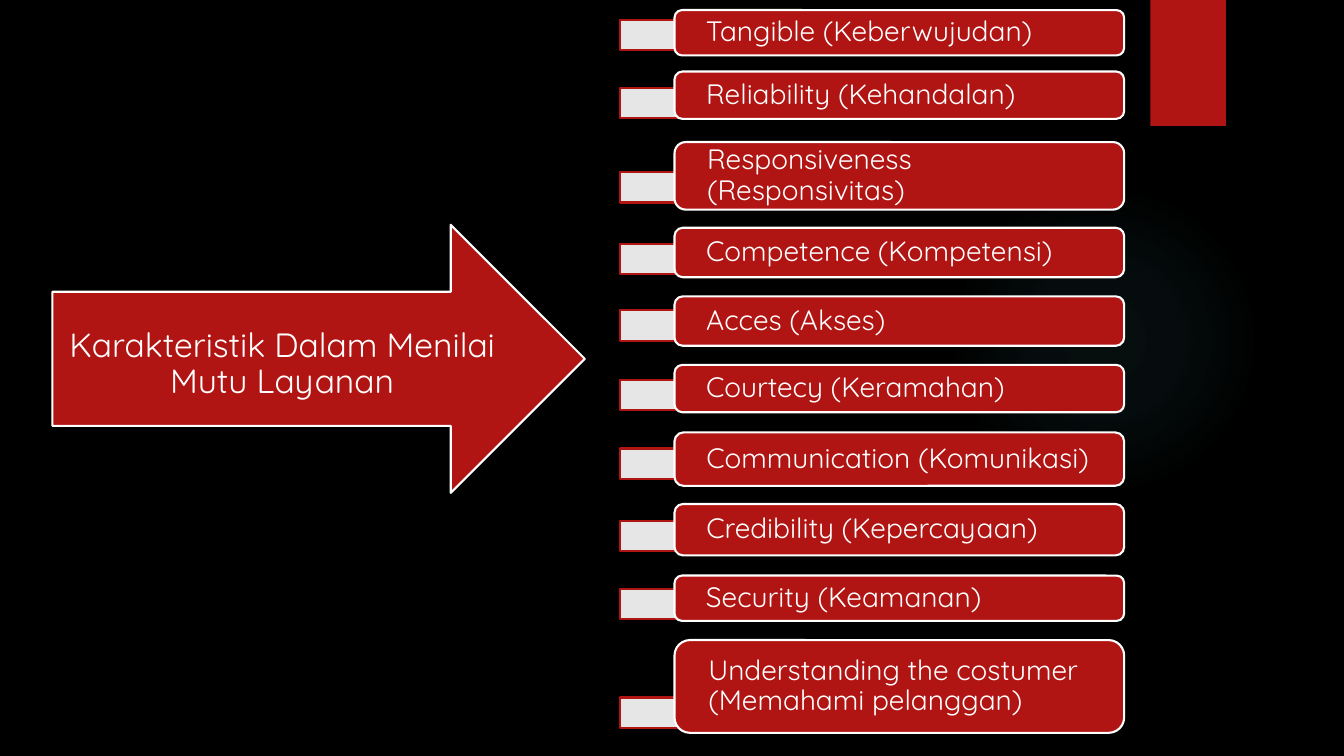
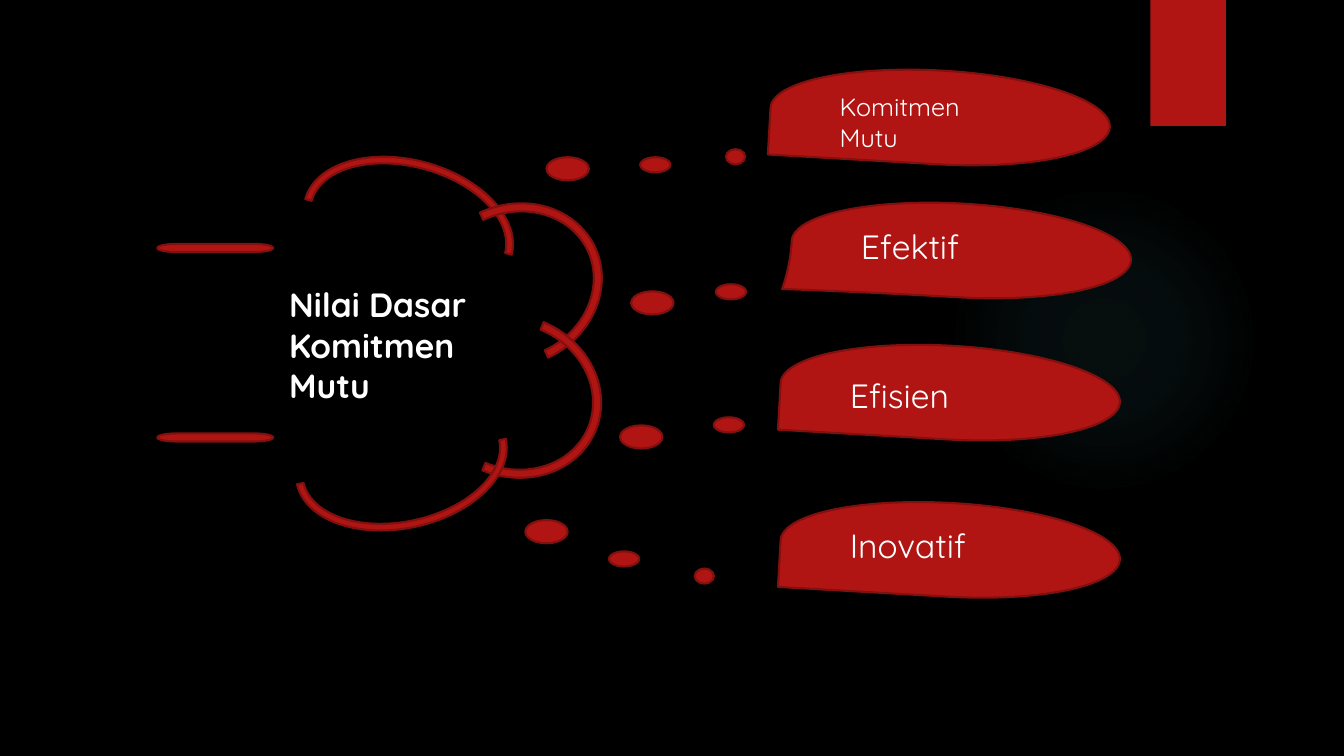
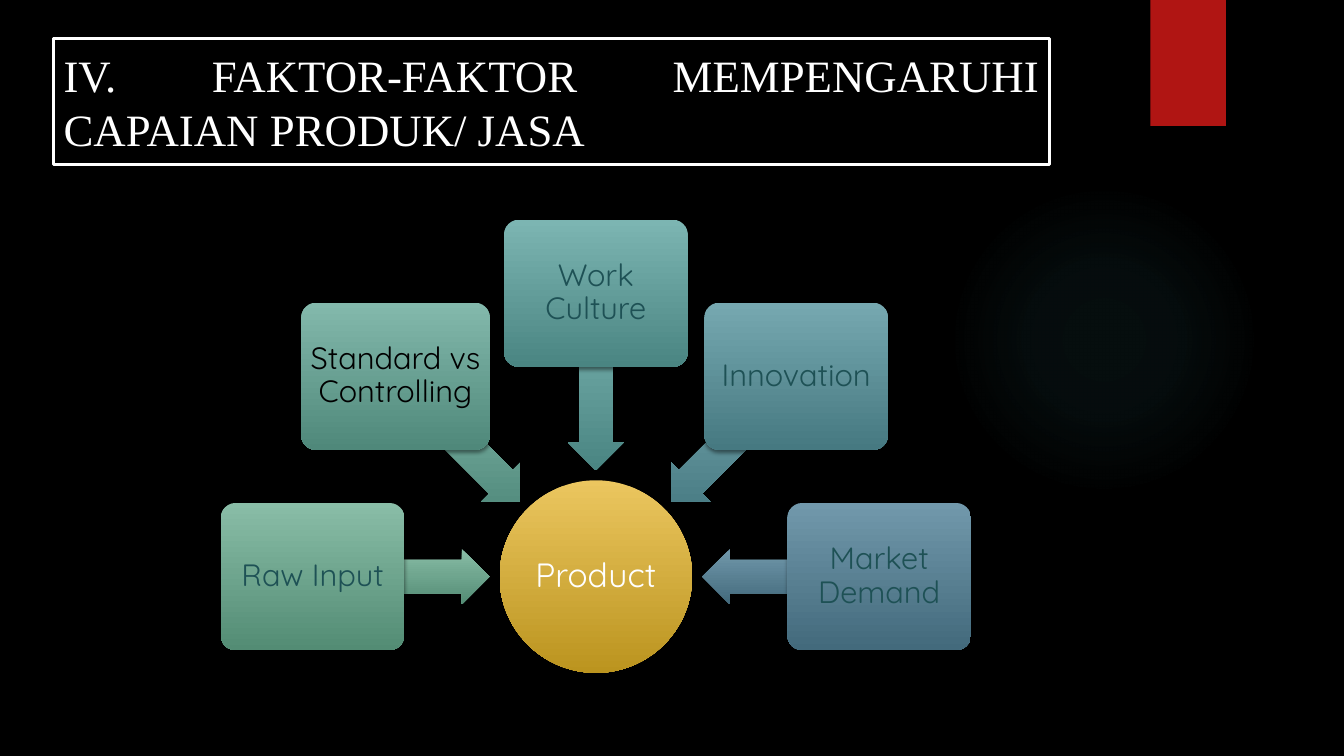
from math import cos, radians, sin

from lxml import etree
from pptx import Presentation
from pptx.dml.color import RGBColor
from pptx.enum.shapes import MSO_SHAPE
from pptx.enum.text import MSO_ANCHOR, MSO_AUTO_SIZE, PP_ALIGN
from pptx.oxml.ns import qn
from pptx.util import Inches, Pt

RECTANGLE = MSO_SHAPE.RECTANGLE
ROUNDED = MSO_SHAPE.ROUNDED_RECTANGLE
OVAL = MSO_SHAPE.OVAL
RIGHT_ARROW = MSO_SHAPE.RIGHT_ARROW
LEFT_ARROW = MSO_SHAPE.LEFT_ARROW
BLOCK_ARC = MSO_SHAPE.BLOCK_ARC
TEAR = MSO_SHAPE.TEAR
DOT = MSO_SHAPE.FLOWCHART_CONNECTOR
BAR = MSO_SHAPE.FLOWCHART_TERMINATOR
LEFT, CENTER, JUSTIFY = PP_ALIGN.LEFT, PP_ALIGN.CENTER, PP_ALIGN.JUSTIFY
TOP, MIDDLE = MSO_ANCHOR.TOP, MSO_ANCHOR.MIDDLE
NO_AUTOFIT = MSO_AUTO_SIZE.NONE

COLORS = {
    "black": "000000", "white": "FFFFFF", "red": "B01513",
    "dark red": "82100E", "glow": "50B9C1", "teal": "1E5155",
}
BODY_FONT = "Quicksand"
TITLE_FONT = "Times New Roman"
TITLE_LAYOUT, BLANK_LAYOUT = 5, 6


# Shared helpers
def rgb(name):
    return RGBColor.from_string(COLORS[name])


def add_shape(slide, kind, box, fill=None, line=None, rotation=0, adjustments=()):
    shape = slide.shapes.add_shape(kind, *map(Inches, box))
    shape.shadow.inherit = False
    shape.rotation = rotation
    for index, value in enumerate(adjustments):
        shape.adjustments[index] = value
    if fill:
        shape.fill.solid()
        shape.fill.fore_color.rgb = rgb(fill)
    else:
        shape.fill.background()
    if line:
        shape.line.color.rgb = rgb(line)
        shape.line.width = Pt(1.5)
    else:
        shape.line.fill.background()
    return shape


def add_color(parent, color, alpha=100):
    element = etree.SubElement(parent, qn("a:srgbClr"), val=color)
    if alpha < 100:
        etree.SubElement(element, qn("a:alpha"), val=str(alpha * 1000))


def set_gradient(shape, stops, radial=False):
    """Replace an empty fill with stops of (position, hex colour, opacity)."""
    properties = shape.element.spPr
    gradient = etree.Element(qn("a:gradFill"), rotWithShape="0")
    stop_list = etree.SubElement(gradient, qn("a:gsLst"))
    for position, color, alpha in stops:
        stop = etree.SubElement(stop_list, qn("a:gs"), pos=str(position * 1000))
        add_color(stop, color, alpha)
    if radial:
        circle = etree.SubElement(gradient, qn("a:path"), path="circle")
        etree.SubElement(circle, qn("a:fillToRect"),
                         {side: "50000" for side in "ltrb"})
    else:
        etree.SubElement(gradient, qn("a:lin"), ang="5400000", scaled="0")
    properties.replace(properties.find(qn("a:noFill")), gradient)


def add_shadow(shape):
    effects = shape.element.spPr.find(qn("a:effectLst"))
    shadow = etree.SubElement(effects, qn("a:outerShdw"), blurRad=str(Pt(3)),
                              dist=str(Pt(2)), dir="5400000", rotWithShape="0")
    add_color(shadow, COLORS["black"], 45)


def write_text(shape, text, size, color="white", align=LEFT, anchor=MIDDLE,
               insets=(0.1, 0.05, 0.1, 0.05), spacing=None, bold=False,
               font=BODY_FONT):
    frame = shape.text_frame
    frame.word_wrap = True
    frame.auto_size = NO_AUTOFIT
    frame.vertical_anchor = anchor
    (frame.margin_left, frame.margin_top,
     frame.margin_right, frame.margin_bottom) = map(Inches, insets)
    paragraph = frame.paragraphs[0]
    paragraph.alignment = align
    if spacing:
        paragraph.line_spacing = spacing
    run = paragraph.add_run()
    run.text = text
    run.font.name = font
    run.font.size = Pt(size)
    run.font.bold = bold
    run.font.color.rgb = rgb(color)


def add_label(slide, box, text, size, bold=False):
    label = slide.shapes.add_textbox(*map(Inches, box))
    write_text(label, text, size, anchor=TOP, bold=bold)


def decorate_master(presentation, slide):
    """Give the master its background, soft glow and red band."""
    master = presentation.slide_master
    master.background.fill.solid()
    master.background.fill.fore_color.rgb = rgb("black")
    glow = add_shape(slide, OVAL, (9.41, 1.83, 3.08, 3.08))
    set_gradient(glow, [(0, COLORS["glow"], 7), (36, COLORS["glow"], 6),
                        (69, COLORS["glow"], 0)], radial=True)
    band = add_shape(slide, RECTANGLE, (11.41, 0, 0.75, 1.25), "red")
    add_shadow(band)
    for index, shape in enumerate((glow, band)):
        shape.element.nvSpPr.cNvPr.set("id", str(101 + index))
        master.element.cSld.spTree.insert(2 + index, shape.element)


# Slide 1: an arrow and ten characteristics
CHARACTERISTICS = [  # text, box top, box height, tab top, tab width
    ("Tangible (Keberwujudan)", 0.1, 0.45, 0.2, 3.75),
    ("Reliability (Kehandalan)", 0.71, 0.47, 0.87, 3.75),
    ("Responsiveness (Responsivitas)", 1.41, 0.67, 1.71, 4.38),
    ("Competence (Kompetensi)", 2.26, 0.49, 2.42, 4.79),
    ("Acces (Akses)", 2.94, 0.49, 3.08, 2.08),
    ("Courtecy (Keramahan)", 3.62, 0.47, 3.77, 4.58),
    ("Communication (Komunikasi)", 4.29, 0.53, 4.45, 4.38),
    ("Credibility (Kepercayaan)", 5, 0.51, 5.17, 4.38),
    ("Security (Keamanan)", 5.71, 0.45, 5.84, 2.71),
    ("Understanding the costumer (Memahami pelanggan)", 6.35, 0.92, 6.92, 4.17),
]


def add_characteristics(slide, left):
    for text, top, height, tab_top, tab_width in CHARACTERISTICS:
        tab = add_shape(slide, RECTANGLE, (left, tab_top, tab_width, 0.3),
                        "white", "red")
        tab_color = tab.element.spPr.find(qn("a:solidFill"))[0]
        etree.SubElement(tab_color, qn("a:alpha"), val="90000")
        box = add_shape(slide, ROUNDED, (left + 0.54, top, 4.46, height),
                        "red", "white")
        write_text(box, text, 20, insets=(0.29, 0, 0.25, 0), spacing=0.9)


def build_characteristics_slide(slide):
    add_characteristics(slide, 6.15)
    arrow = add_shape(slide, RIGHT_ARROW, (0.52, 2.23, 5.28, 2.66), "red", "white")
    write_text(arrow, "Karakteristik Dalam Menilai Mutu Layanan", 24, align=CENTER,
               insets=(0.12, 0.22, 0.18, 0.11), spacing=0.9)


# Slide 2: a cloud with dotted trails to four leaves
ARCS = [  # box, rotation
    ((2.99, 1.59, 2.12, 1.33), 15.3),
    ((4.3, 1.94, 1.59, 1.78), 65),
    ((4.29, 3.04, 1.59, 1.78), 112.7),
    ((2.92, 3.91, 2.12, 1.33), 167.9),
]
LEAVES = [  # text, size, left, top, text drop, point
    ("Komitmen Mutu", 18, 7.64, 0.7, 0.16, 1),
    ("Efektif", 24, 7.85, 2.02, 0.17, 1.04),
    ("Efisien", 24, 7.74, 3.43, 0.24, 1),
    ("Inovatif", 24, 7.74, 4.99, 0.17, 1),
]
DOT_SIZES = [(0.42, 0.23), (0.3, 0.15), (0.19, 0.15)]
TRAILS = [  # corners of the dots, largest first
    [(5.42, 1.56), (6.35, 1.56), (7.2, 1.48)],
    [(6.26, 2.89), (7.1, 2.82)],
    [(6.15, 4.22), (7.08, 4.14)],
    [(5.21, 5.16), (6.04, 5.47), (6.89, 5.64)],
]


def add_cloud(slide):
    for box, rotation in ARCS:
        add_shape(slide, BLOCK_ARC, box, "red", "dark red", rotation,
                  (108, 215.74, 0.05))
    add_label(slide, (2.77, 2.77, 2.7, 1.31), "Nilai Dasar Komitmen Mutu", 24, True)
    for top in (2.42, 4.3):
        add_shape(slide, BAR, (1.56, top, 1.15, 0.08), "red", "dark red")


def add_leaf(slide, text, size, left, top, drop, point):
    add_shape(slide, TEAR, (left, top, 3.37, 0.93), "red", "dark red", 183.3, (point,))
    add_label(slide, (left + 0.59, top + drop, 1.88, 0.5), text, size)


def build_values_slide(slide):
    add_cloud(slide)
    for leaf in LEAVES:
        add_leaf(slide, *leaf)
    for trail in TRAILS:
        for corner, size in zip(trail, DOT_SIZES):
            add_shape(slide, DOT, corner + size, "red", "dark red")


# Slide 3: factors on a half circle around the product
FACTORS = [  # text, text colour, box width, light and dark shade
    ("Raw Input", "teal", 1.82, "89BDA7", "538C74"),
    ("Standard vs Controlling", "black", 1.87, "83B9AC", "4F887A"),
    ("Work Culture", "teal", 1.82, "7CB5B2", "4A8582"),
    ("Innovation", "teal", 1.82, "76A8B0", "467981"),
    ("Market Demand", "teal", 1.82, "7198AB", "436A7C"),
]


def add_shaded(slide, kind, center, size, shades, rotation=0, adjustments=()):
    box = (center[0] - size[0] / 2, center[1] - size[1] / 2, *size)
    shape = add_shape(slide, kind, box, rotation=rotation, adjustments=adjustments)
    set_gradient(shape, [(0, shades[0], 100), (100, shades[1], 100)])
    add_shadow(shape)
    return shape


def add_factor_wheel(slide, center):
    def around(radius, angle):
        return (center[0] + radius * cos(radians(angle)),
                center[1] + radius * sin(radians(angle)))

    hub = add_shaded(slide, OVAL, center, (1.91, 1.91), ("EBC65F", "BB941F"))
    write_text(hub, "Product", 24, align=CENTER, insets=(0.02,) * 4, spacing=0.9)
    for index, (text, color, width, *shades) in enumerate(FACTORS):
        angle = 180 + 45 * index
        add_shaded(slide, LEFT_ARROW, around(1.93, angle), (1.75, 0.55), shades,
                   angle % 360, (0.6, 0.5))
        box = add_shaded(slide, ROUNDED, around(2.81, angle), (width, 1.46), shades,
                         adjustments=(0.1,))
        write_text(box, text, 22, color, CENTER, insets=(0.03,) * 4, spacing=0.9)


def build_factors_slide(slide):
    title = slide.shapes.title
    title.left, title.top, title.width, title.height = map(
        Inches, (0.53, 0.38, 9.88, 1.25))
    title.fill.solid()
    title.fill.fore_color.rgb = rgb("black")
    title.line.color.rgb = rgb("white")
    title.line.width = Pt(2.25)
    write_text(title, "IV. FAKTOR-FAKTOR MEMPENGARUHI CAPAIAN PRODUK/ JASA", 32,
               align=JUSTIFY, font=TITLE_FONT)
    add_factor_wheel(slide, (5.91, 5.72))


def main():
    presentation = Presentation()
    presentation.slide_width = Inches(13.33)
    presentation.slide_height = Inches(7.5)
    pages = [
        (BLANK_LAYOUT, build_characteristics_slide),
        (BLANK_LAYOUT, build_values_slide),
        (TITLE_LAYOUT, build_factors_slide),
    ]
    for layout, build in pages:
        build(presentation.slides.add_slide(presentation.slide_layouts[layout]))
    decorate_master(presentation, presentation.slides[0])
    presentation.save("out.pptx")


if __name__ == "__main__":
    main()
